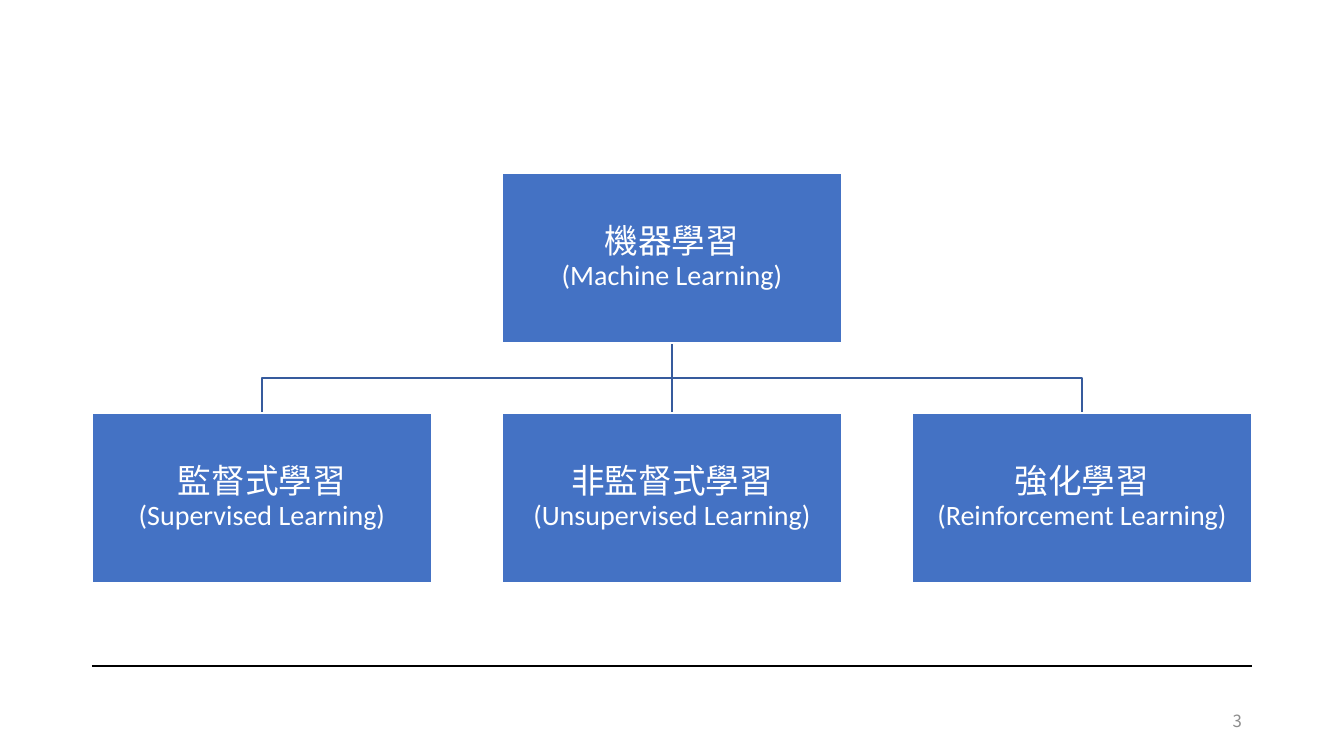
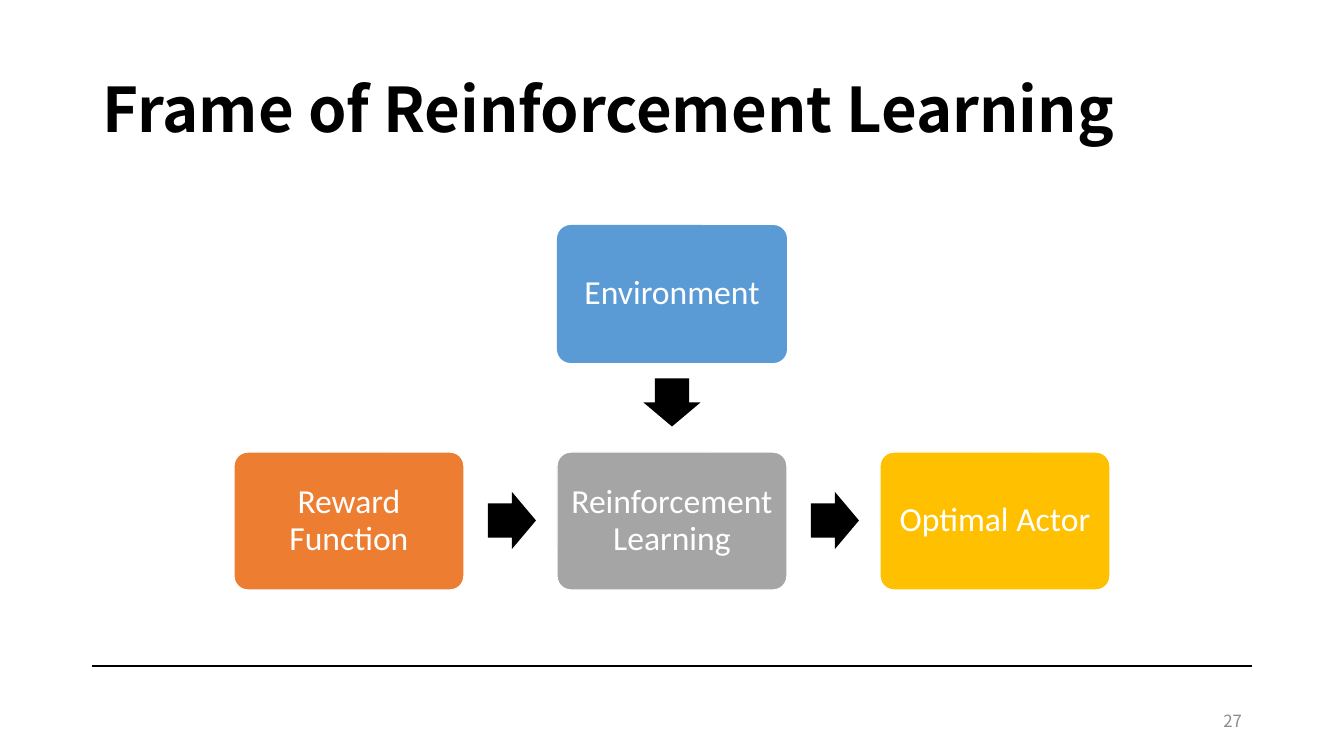
"""Build two slides on the branches of machine learning and the reinforcement learning frame."""
from dataclasses import dataclass
from typing import Any, Optional

from lxml import etree
from pptx import Presentation
from pptx.dml.color import RGBColor
from pptx.enum.shapes import MSO_CONNECTOR, MSO_SHAPE
from pptx.enum.text import MSO_ANCHOR, PP_ALIGN
from pptx.oxml.ns import qn
from pptx.util import Emu, Pt

RECT, ROUND, ARROW = MSO_SHAPE.RECTANGLE, MSO_SHAPE.ROUNDED_RECTANGLE, MSO_SHAPE.RIGHT_ARROW
STRAIGHT = MSO_CONNECTOR.STRAIGHT
MIDDLE = MSO_ANCHOR.MIDDLE
LEFT, CENTER, RIGHT = PP_ALIGN.LEFT, PP_ALIGN.CENTER, PP_ALIGN.RIGHT

SCALE = 914400 / 100.8
WIDTH, HEIGHT = 1344, 756
LATIN, CJK = "Calibri", "Noto Sans CJK SC"
BLACK, WHITE, GREY = "000000", "FFFFFF", "8C8C8C"
NODE_FILL, BRANCH_LINE = "4472C4", "365B9D"
BLUE, ORANGE, SILVER, GOLD = "5B9BD5", "ED7D31", "A5A5A5", "FFC000"


@dataclass(frozen=True)
class Line:
    text: str
    size: int
    font: str = LATIN
    color: str = WHITE
    bold: bool = False


@dataclass(frozen=True)
class Block:
    x: int
    y: int
    w: int
    h: int
    fill: str
    kind: Any = RECT
    line: Optional[str] = WHITE
    lines: tuple[Line, ...] = ()
    inset: int = 2
    adjust: tuple[float, ...] = ()
    rotation: int = 0


def px(n: float) -> Emu:
    return Emu(round(n * SCALE))


def rgb(value: str) -> RGBColor:
    return RGBColor.from_string(value)


def write(s: Any, lines: tuple[Line, ...], align: Any, inset_x: int, inset_y: int,
          spacing: float = 0.9) -> None:
    tf = s.text_frame
    frame = {"word_wrap": True, "vertical_anchor": MIDDLE,
             "margin_left": px(inset_x), "margin_right": px(inset_x),
             "margin_top": px(inset_y), "margin_bottom": px(inset_y)}
    for name, value in frame.items():
        setattr(tf, name, value)
    p = tf.paragraphs[0]
    p.alignment, p.line_spacing = align, spacing
    for i, line in enumerate(lines):
        if i:
            p.add_line_break()
        r = p.add_run()
        r.text = line.text
        font = {"name": line.font, "size": Pt(line.size), "bold": line.bold}
        for name, value in font.items():
            setattr(r.font, name, value)
        r.font.color.rgb = rgb(line.color)


def outline(s: Any, color: Optional[str]) -> None:
    if color is None:
        s.line.fill.background()
    else:
        s.line.color.rgb = rgb(color)
        s.line.width = Pt(1)


def add_block(slide: Any, b: Block) -> None:
    s = slide.shapes.add_shape(b.kind, px(b.x), px(b.y), px(b.w), px(b.h))
    s.shadow.inherit = False
    s.fill.solid()
    s.fill.fore_color.rgb = rgb(b.fill)
    outline(s, b.line)
    s.rotation = b.rotation
    for i, value in enumerate(b.adjust):
        s.adjustments[i] = value
    if b.lines:
        write(s, b.lines, CENTER, b.inset, 2)


def add_line(slide: Any, x1: int, y1: int, x2: int, y2: int, color: str) -> None:
    s = slide.shapes.add_connector(STRAIGHT, px(x1), px(y1), px(x2), px(y2))
    outline(s, color)
    etree.SubElement(s._element.spPr, qn("a:effectLst"))


def add_branch(slide: Any, x1: int, y1: int, x2: int, y2: int) -> None:
    if x1 == x2:
        add_line(slide, x1, y1, x2, y2, BRANCH_LINE)
        return
    middle = (y1 + y2) // 2
    path = slide.shapes.build_freeform(x1, y1, scale=SCALE)
    path.add_line_segments([(x1, middle), (x2, middle), (x2, y2)], close=False)
    s = path.convert_to_shape()
    s.shadow.inherit = False
    s.fill.background()
    outline(s, BRANCH_LINE)


def add_text(slide: Any, x: int, y: int, w: int, h: int, line: Line, align: Any,
             spacing: float) -> None:
    s = slide.shapes.add_textbox(px(x), px(y), px(w), px(h))
    write(s, (line,), align, 10, 5, spacing)


def add_slide(prs: Any, number: int, title: str = "") -> Any:
    slide = prs.slides.add_slide(prs.slide_layouts[6])
    add_line(slide, 92, 666, 1252, 666, BLACK)
    if title:
        add_text(slide, 93, 40, 1159, 146, Line(title, 44, CJK, BLACK, True), LEFT, 0.9)
    add_text(slide, 950, 701, 302, 40, Line(str(number), 12, CJK, GREY), RIGHT, 1.0)
    return slide


def learning_tree(prs: Any) -> None:
    slide = add_slide(prs, 3)
    left, step, w, h, root_y, child_y = 92, 410, 340, 170, 173, 413
    root_x = left + step
    children = (("監督式學習", "(Supervised Learning)"),
                ("非監督式學習", "(Unsupervised Learning)"),
                ("強化學習", "(Reinforcement Learning)"))
    places = [(root_x, root_y, "機器學習", "(Machine Learning)")]
    for i, names in enumerate(children):
        x = left + i * step
        places.append((x, child_y, *names))
        add_branch(slide, root_x + w // 2, root_y + h, x + w // 2, child_y)
    for x, y, chinese, english in places:
        add_block(slide, Block(x, y, w, h, NODE_FILL, lines=(Line(chinese, 24), Line(english, 20))))


def reinforcement_frame(prs: Any) -> None:
    slide = add_slide(prs, 27, "Frame of Reinforcement Learning")
    left, step, w, h, top, row = 234, 323, 230, 138, 225, 452
    boxes = ((0, row, "Reward Function", ORANGE, WHITE),
             (1, row, "Reinforcement Learning", SILVER, WHITE),
             (2, row, "Optimal Actor", GOLD, WHITE),
             (1, top, "Environment", BLUE, None))
    for column, y, text, fill, line in boxes:
        add_block(slide, Block(left + column * step, y, w, h, fill, ROUND, line,
                               (Line(text, 24),), 6, (0.1,)))
    for x, y, rotation in ((488, 492, 0), (488 + step, 492, 0), (648, 374, 90)):
        add_block(slide, Block(x, y, 48, 57, BLACK, ARROW, None,
                               adjust=(0.6, 0.5), rotation=rotation))


def main() -> None:
    prs = Presentation()
    prs.slide_width, prs.slide_height = px(WIDTH), px(HEIGHT)
    learning_tree(prs)
    reinforcement_frame(prs)
    prs.save("out.pptx")


main()
